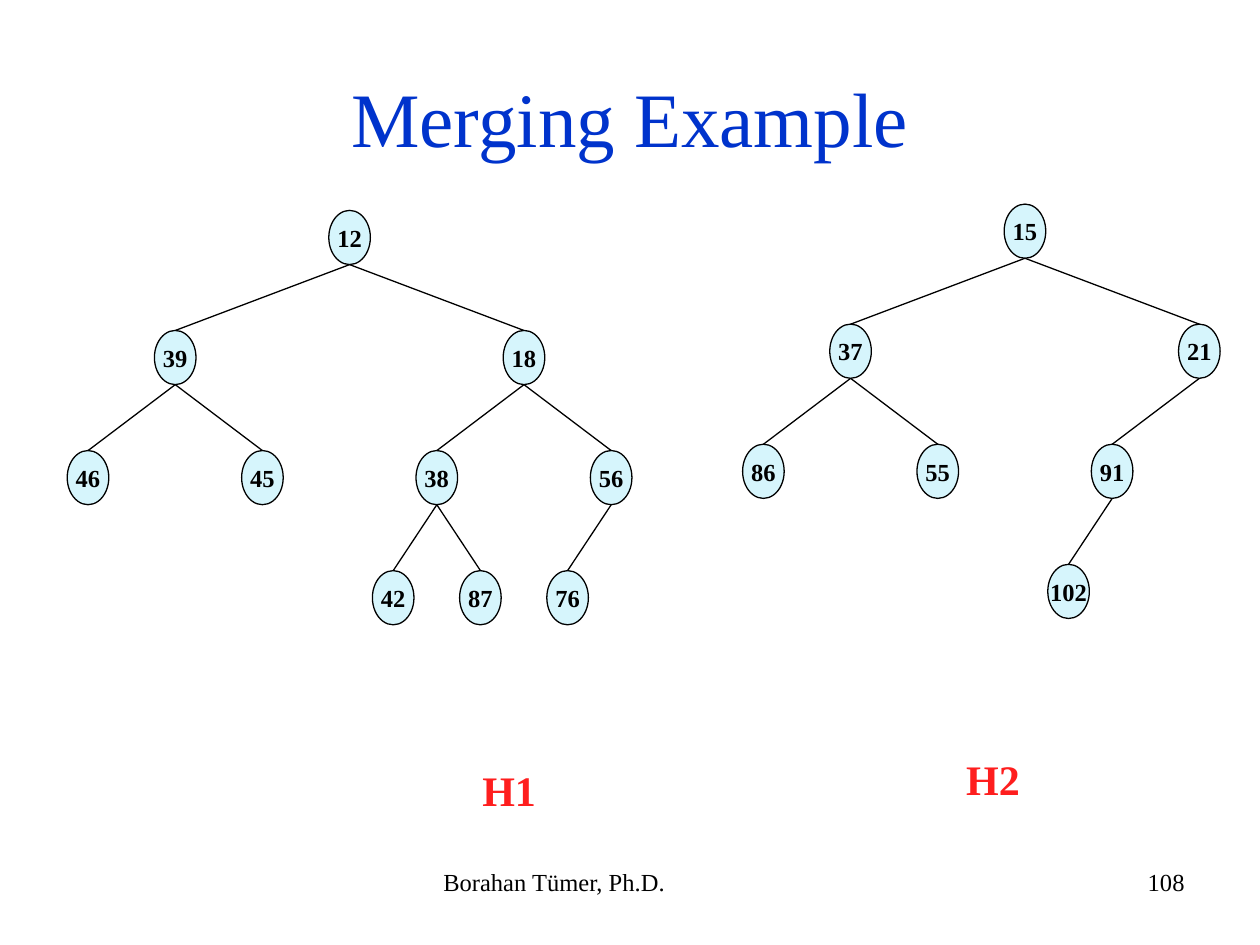
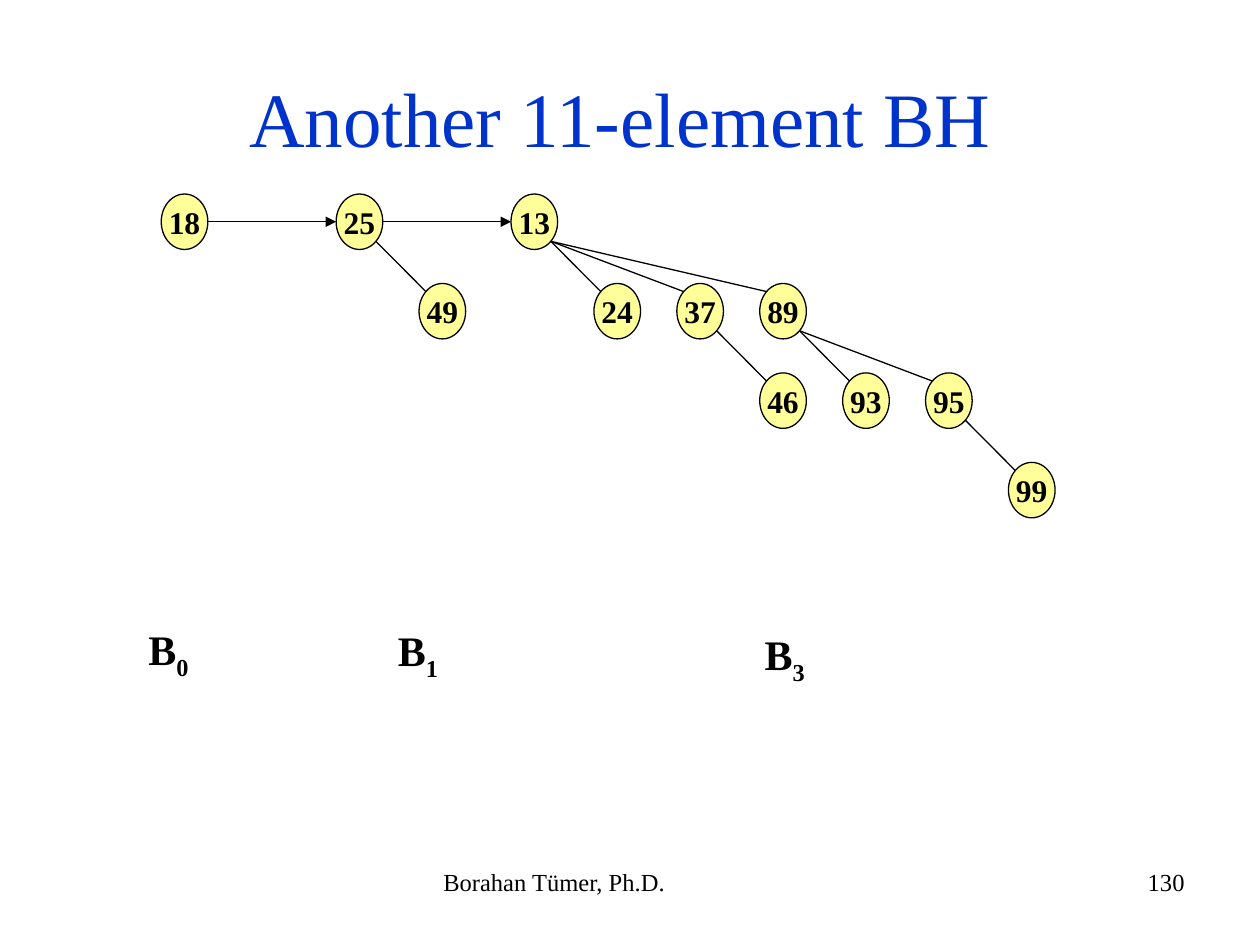
"""Build two lecture slides on heaps: a merging example and a binomial heap."""
from dataclasses import dataclass, field
from math import sqrt
from typing import Optional

from pptx import Presentation
from pptx.dml.color import RGBColor
from pptx.enum.shapes import MSO_CONNECTOR as Connector, MSO_SHAPE as Preset
from pptx.enum.text import MSO_ANCHOR as Anchor, PP_ALIGN as Align
from pptx.oxml.ns import qn
from pptx.slide import Slide
from pptx.text.text import Font
from pptx.util import Inches, Pt
from lxml.etree import SubElement

FONT = "Times New Roman"
BLACK, BLUE, RED = "000000", "0033CC", "FE1E1E"
LINE_WIDTH = 0.75
LEVEL_HEIGHT, FIRST_SPREAD = 0.953, 1.384
COLUMN_STEP, ROW_STEP, ROOT_STEP = 0.658, 0.71, 1.388


@dataclass(frozen=True)
class Point:
    """A place on the slide, in inches."""
    x: float
    y: float

    def shifted(self, dx: float, dy: float) -> "Point":
        """Return the point moved by the given distances."""
        return Point(self.x + dx, self.y + dy)


@dataclass(frozen=True)
class NodeStyle:
    """The look of the nodes of one kind of heap."""
    width: float
    height: float
    fill: str
    text_size: int


@dataclass(frozen=True)
class BinaryHeap:
    """A named heap whose keys are listed level by level."""
    name: str
    root: Point
    name_corner: Point
    keys: list[Optional[int]]


@dataclass(frozen=True)
class BinomialNode:
    """A key with its subtrees in order of rising degree."""
    key: int
    children: list["BinomialNode"] = field(default_factory=list)


@dataclass(frozen=True)
class BinomialTree:
    """A binomial tree with its degree and the corner of its label."""
    degree: int
    label_corner: Point
    root: BinomialNode


HEAP_STYLE = NodeStyle(0.33, 0.43, "D6F5FC", 14)
BINOMIAL_STYLE = NodeStyle(0.37, 0.44, "FFFF99", 18)
HEAPS = [
    BinaryHeap("H1", Point(2.775, 1.885), Point(3.73, 6.02),
               [12, 39, 18, 46, 45, 38, 56, None, None, None, None, 42, 87, 76]),
    BinaryHeap("H2", Point(8.135, 1.835), Point(7.57, 5.93),
               [15, 37, 21, 86, 55, 91, None, None, None, None, None, 102]),
]
FIRST_ROOT = Point(1.465, 1.76)
BINOMIAL_TREES = [
    BinomialTree(0, Point(1.08, 4.9), BinomialNode(18)),
    BinomialTree(1, Point(3.06, 4.91), BinomialNode(25, [BinomialNode(49)])),
    BinomialTree(3, Point(5.97, 4.94), BinomialNode(13, [
        BinomialNode(24),
        BinomialNode(37, [BinomialNode(46)]),
        BinomialNode(89, [BinomialNode(93), BinomialNode(95, [BinomialNode(99)])]),
    ])),
]


def color(value: str) -> RGBColor:
    """Turn a hex string into a colour."""
    return RGBColor.from_string(value)


def style_font(font: Font, size: int, hex_color: str, bold: bool) -> None:
    """Set the typeface, size, colour and weight."""
    font.name, font.size, font.bold = FONT, Pt(size), bold
    font.color.rgb = color(hex_color)


def add_text(slide: Slide, text: str, corner: Point, width: float, height: float,
             size: int, hex_color: str = BLACK, bold: bool = False,
             align: Align = Align.LEFT, anchor: Anchor = Anchor.TOP,
             subscript: str = "") -> None:
    """Add a text box, with an optional subscript at its end."""
    shape = slide.shapes.add_textbox(Inches(corner.x), Inches(corner.y),
                                     Inches(width), Inches(height))
    text_frame = shape.text_frame
    text_frame.word_wrap = True
    text_frame.vertical_anchor = anchor
    text_frame.text = text
    paragraph = text_frame.paragraphs[0]
    paragraph.alignment = align
    if subscript:
        run = paragraph.add_run()
        run.text = subscript
        run._r.get_or_add_rPr().set("baseline", "-25000")
    for run in paragraph.runs:
        style_font(run.font, size, hex_color, bold)


def add_node(slide: Slide, key: int, center: Point, style: NodeStyle) -> None:
    """Draw a key in an ellipse."""
    shape = slide.shapes.add_shape(
        Preset.OVAL, Inches(center.x - style.width / 2), Inches(center.y - style.height / 2),
        Inches(style.width), Inches(style.height))
    shape.shadow.inherit = False
    shape.fill.solid()
    shape.fill.fore_color.rgb = color(style.fill)
    shape.line.color.rgb = color(BLACK)
    shape.line.width = Pt(LINE_WIDTH)
    text_frame = shape.text_frame
    text_frame.word_wrap = False
    text_frame.vertical_anchor = Anchor.MIDDLE
    text_frame.text = str(key)
    paragraph = text_frame.paragraphs[0]
    paragraph.alignment = Align.CENTER
    style_font(paragraph.runs[0].font, style.text_size, BLACK, True)


def add_edge(slide: Slide, start: Point, end: Point, arrow: bool = False) -> None:
    """Draw a straight line, with an arrowhead at its end if asked."""
    connector = slide.shapes.add_connector(
        Connector.STRAIGHT, Inches(start.x), Inches(start.y), Inches(end.x), Inches(end.y))
    connector.line.color.rgb = color(BLACK)
    connector.line.width = Pt(LINE_WIDTH)
    if arrow:
        SubElement(connector.line._get_or_add_ln(), qn("a:tailEnd"), type="triangle")
    SubElement(connector._element.spPr, qn("a:effectLst"))


def heap_center(heap: BinaryHeap, number: int) -> Point:
    """Place a node by its one-based number in level order."""
    level = number.bit_length() - 1
    steps = 2 * (number - 2 ** level) + 1 - 2 ** level
    spread = FIRST_SPREAD * 2 / 2 ** level
    return heap.root.shifted(steps * spread, level * LEVEL_HEIGHT)


def add_heap(slide: Slide, heap: BinaryHeap) -> None:
    """Draw a binary heap and its name."""
    half = HEAP_STYLE.height / 2
    for number, key in enumerate(heap.keys, start=1):
        if key is None:
            continue
        center = heap_center(heap, number)
        add_node(slide, key, center, HEAP_STYLE)
        if number > 1:
            parent = heap_center(heap, number // 2)
            add_edge(slide, parent.shifted(0, half), center.shifted(0, -half))
    add_text(slide, heap.name, heap.name_corner, 0.77, 0.5, 24, RED, True)


def add_subtree(slide: Slide, node: BinomialNode, center: Point) -> None:
    """Draw a node and, one row lower, each child further right."""
    add_node(slide, node.key, center, BINOMIAL_STYLE)
    dx = BINOMIAL_STYLE.width / 2 / sqrt(2)
    dy = BINOMIAL_STYLE.height / 2 / sqrt(2)
    for rank, child in enumerate(node.children, start=1):
        child_center = center.shifted(rank * COLUMN_STEP, ROW_STEP)
        add_subtree(slide, child, child_center)
        add_edge(slide, center.shifted(dx, dy), child_center.shifted(-dx, -dy))


def add_binomial_heap(slide: Slide, trees: list[BinomialTree]) -> None:
    """Draw the trees with their labels and link their roots."""
    half = BINOMIAL_STYLE.width / 2
    for index, tree in enumerate(trees):
        center = FIRST_ROOT.shifted(index * ROOT_STEP, 0)
        add_subtree(slide, tree.root, center)
        if index:
            add_edge(slide, center.shifted(half - ROOT_STEP, 0), center.shifted(-half, 0), True)
        add_text(slide, "B", tree.label_corner, 0.77, 0.56, 24, bold=True,
                 subscript=str(tree.degree))


def add_lecture_slide(presentation: Presentation, title: str, number: int) -> Slide:
    """Add a blank slide with the shared title and footer."""
    slide = presentation.slides.add_slide(presentation.slide_layouts[6])
    add_text(slide, "Borahan Tümer, Ph.D.", Point(3.42, 6.83), 3.17, 0.52, 14)
    add_text(slide, str(number), Point(7.17, 6.83), 2.33, 0.52, 14, align=Align.RIGHT)
    add_text(slide, title, Point(0.5, 0.3), 9, 1.25, 44, BLUE,
             align=Align.CENTER, anchor=Anchor.MIDDLE)
    return slide


def main() -> None:
    """Build and save the presentation."""
    presentation = Presentation()
    presentation.slide_width, presentation.slide_height = Inches(10), Inches(7.5)
    merging_slide = add_lecture_slide(presentation, "Merging Example", 108)
    for heap in HEAPS:
        add_heap(merging_slide, heap)
    binomial_slide = add_lecture_slide(presentation, "Another 11-element BH ", 130)
    add_binomial_heap(binomial_slide, BINOMIAL_TREES)
    presentation.save("out.pptx")


if __name__ == "__main__":
    main()
